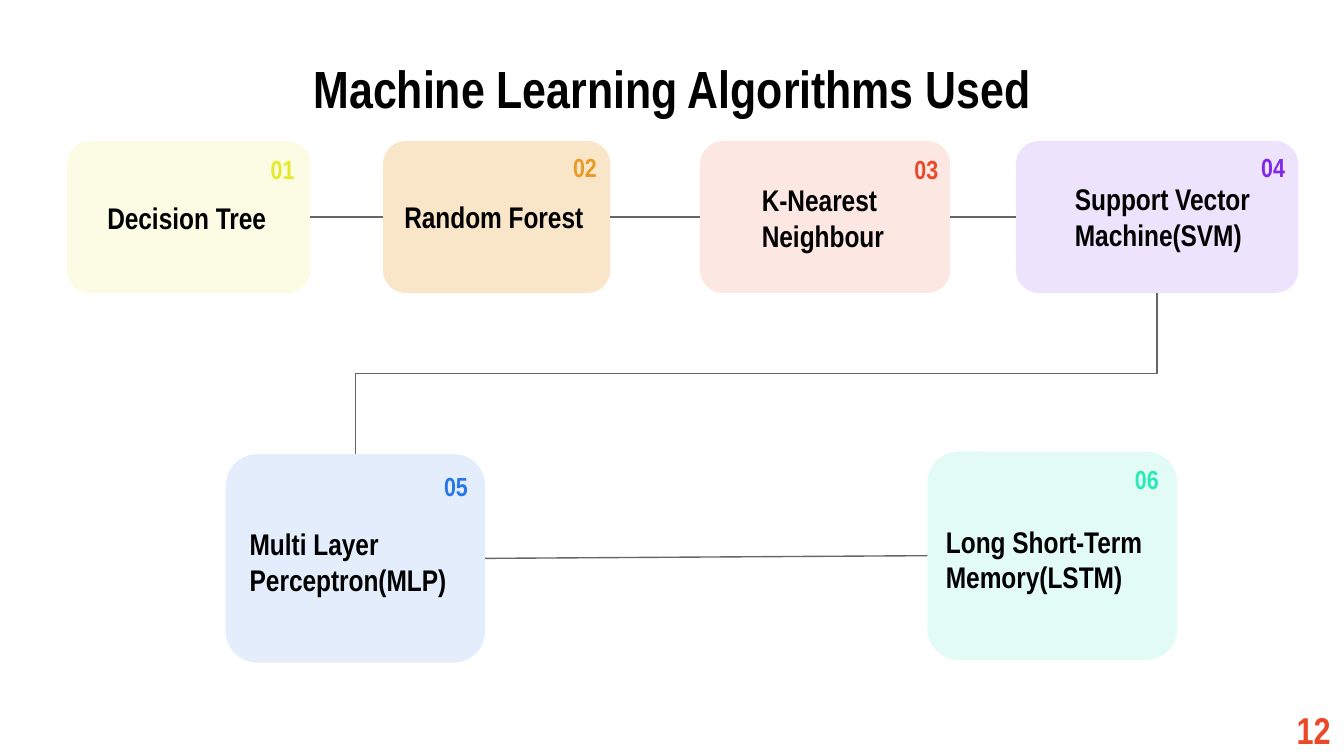
from lxml import etree
from pptx import Presentation
from pptx.dml.color import RGBColor
from pptx.enum import shapes, text
from pptx.oxml.ns import qn
from pptx.util import Inches, Pt

FONT = "Arial Narrow"
BLACK = RGBColor(0x00, 0x00, 0x00)
GREY = RGBColor(0x66, 0x66, 0x66)
YELLOW = RGBColor(0xE4, 0xEA, 0x27)
ORANGE = RGBColor(0xE9, 0x9B, 0x27)
RED = RGBColor(0xEA, 0x48, 0x27)
PURPLE = RGBColor(0x80, 0x27, 0xEA)
BLUE = RGBColor(0x27, 0x76, 0xEA)
GREEN = RGBColor(0x26, 0xEA, 0xB8)

LEFT, CENTER, RIGHT = text.PP_ALIGN.LEFT, text.PP_ALIGN.CENTER, text.PP_ALIGN.RIGHT
TOP_SIDE, LEFT_SIDE, BOTTOM_SIDE, RIGHT_SIDE = range(4)

# Card box; label offset and width; number offset from the card's top right
TOP_ROW = [
    ("Decision Tree", YELLOW, 13, (0.5, 1.05, 1.81, 1.13), (0.2, 0.24, 1.6), (-0.43, 0)),
    ("Random Forest", ORANGE, 25, (2.85, 1.05, 1.69, 1.13), (0.06, 0.23, 1.6), (-0.41, -0.01)),
    ("K-Nearest Neighbour", RED, 13, (5.21, 1.05, 1.86, 1.13), (0.36, 0.24, 1.6), (-0.4, 0)),
    ("Support Vector Machine(SVM)", PURPLE, 13, (7.56, 1.05, 2.1, 1.13), (0.34, 0.23, 1.6), (-0.41, -0.01)),
]
BOTTOM_ROW = [
    ("Multi Layer Perceptron(MLP)", BLUE, 13, (1.68, 3.38, 1.93, 1.55), (0.08, 0.47, 1.77), (-0.44, 0.03)),
    ("Long Short-Term Memory(LSTM)", GREEN, 13, (6.9, 3.36, 1.86, 1.55), (0.04, 0.47, 1.67), (-0.45, 0)),
]


def add_text(slide, box, words, size, color, align=LEFT):
    frame = slide.shapes.add_textbox(*map(Inches, box)).text_frame
    frame.word_wrap = True
    frame.vertical_anchor = text.MSO_ANCHOR.MIDDLE
    frame.margin_left = frame.margin_right = Inches(0.1)
    frame.margin_top = frame.margin_bottom = Inches(0.1)
    paragraph = frame.paragraphs[0]
    paragraph.text = words
    paragraph.alignment = align
    font = paragraph.runs[0].font
    font.name, font.size, font.bold = FONT, Pt(size), True
    font.color.rgb = color


def add_card(slide, number, label, color, opacity, box, label_at, number_at):
    left, top, width, height = box
    # Tinted panel
    card = slide.shapes.add_shape(shapes.MSO_SHAPE.ROUNDED_RECTANGLE, *map(Inches, box))
    card.adjustments[0] = 0.15
    card.shadow.inherit = False
    card.line.fill.background()
    card.fill.solid()
    card.fill.fore_color.rgb = color
    tint = card._element.spPr.find(".//" + qn("a:srgbClr"))
    etree.SubElement(tint, qn("a:alpha"), val=str(opacity * 1000))
    # Algorithm name and number
    dx, dy, label_width = label_at
    add_text(slide, (left + dx, top + dy, label_width, 0.66), label, 16, BLACK)
    dx, dy = number_at
    add_text(slide, (left + width + dx, top + dy, 0.41, 0.41), f"{number:02}", 14, color, RIGHT)
    return card


def add_link(slide, kind, start, start_side, end, end_side):
    link = slide.shapes.add_connector(kind, 0, 0, 0, 0)
    link.begin_connect(start, start_side)
    link.end_connect(end, end_side)
    link.line.color.rgb = GREY
    link.line.width = Pt(0.75)
    etree.SubElement(link._element.spPr, qn("a:effectLst"))
    return link


def add_row(slide, cards, first_number):
    row = [add_card(slide, number, *card) for number, card in enumerate(cards, first_number)]
    for start, end in zip(row, row[1:]):
        add_link(slide, shapes.MSO_CONNECTOR.STRAIGHT, start, RIGHT_SIDE, end, LEFT_SIDE)
    return row


def add_row_break(slide, start, end):
    link = add_link(slide, shapes.MSO_CONNECTOR.ELBOW, start, BOTTOM_SIDE, end, TOP_SIDE)
    # Turn the elbow a quarter so that it leaves downwards
    across, down = link.width, link.height
    center_x, center_y = link.left + across // 2, link.top + down // 2
    link.left, link.top = center_x - down // 2, center_y - across // 2
    link.width, link.height = down, across
    xfrm = link._element.spPr.find(qn("a:xfrm"))
    xfrm.attrib.pop("flipH", None)
    xfrm.set("rot", str(90 * 60000))


def main():
    deck = Presentation()
    # Widescreen page, 16:9
    deck.slide_width = Inches(10)
    deck.slide_height = deck.slide_width * 9 // 16
    slide = deck.slides.add_slide(deck.slide_layouts[6])

    # Title
    add_text(slide, (0.5, 0.45, 9, 0.41), "Machine Learning Algorithms Used", 28, BLACK, CENTER)
    # Chain of algorithms
    top_cards = add_row(slide, TOP_ROW, 1)
    bottom_cards = add_row(slide, BOTTOM_ROW, len(TOP_ROW) + 1)
    add_row_break(slide, top_cards[-1], bottom_cards[0])
    # Page number
    add_text(slide, (9.5, 5.22, 0.5, 0.41), "12", 20, RED, RIGHT)

    deck.save("out.pptx")


if __name__ == "__main__":
    main()
